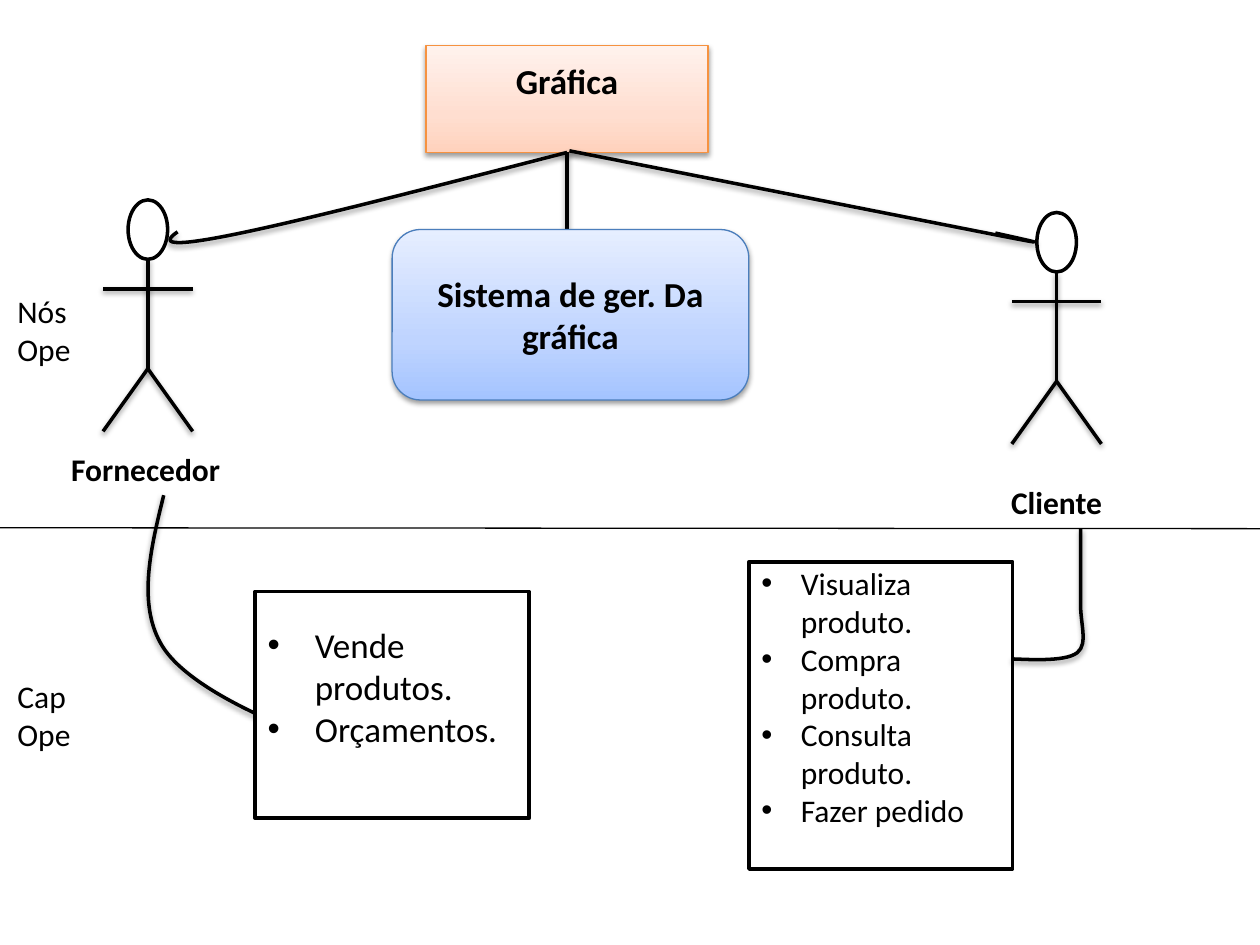
from copy import deepcopy
from dataclasses import dataclass

from lxml.etree import SubElement
from pptx import Presentation
from pptx.dml.color import RGBColor
from pptx.enum.shapes import MSO_CONNECTOR, MSO_SHAPE
from pptx.enum.text import MSO_ANCHOR, PP_ALIGN
from pptx.oxml.ns import qn
from pptx.util import Pt

BLACK = RGBColor(0x00, 0x00, 0x00)
WHITE = RGBColor(0xFF, 0xFF, 0xFF)
ORANGE = RGBColor(0xF6, 0x92, 0x40)
BLUE = RGBColor(0x4B, 0x7E, 0xBC)
PEACH_STOPS = (RGBColor(0xFF, 0xD2, 0xBD), RGBColor(0xFF, 0xDE, 0xD0), RGBColor(0xFF, 0xF2, 0xED))
SKY_STOPS = (RGBColor(0xA4, 0xC4, 0xFF), RGBColor(0xBF, 0xD4, 0xFF), RGBColor(0xE6, 0xEE, 0xFF))
STOP_POSITIONS = (0, 0.35, 1)
FONT = "Calibri"

Point = tuple[float, float]


@dataclass(frozen=True)
class Frame:
    left: float
    top: float
    width: float
    height: float

    def lengths(self) -> tuple:
        return Pt(self.left), Pt(self.top), Pt(self.width), Pt(self.height)


@dataclass(frozen=True)
class Node:
    kind: MSO_SHAPE
    frame: Frame
    text: str
    stops: tuple
    border: RGBColor
    anchor: MSO_ANCHOR
    margin_top: float


@dataclass(frozen=True)
class Actor:
    center: float
    top: float


@dataclass(frozen=True)
class Label:
    frame: Frame
    text: str
    bold: bool


@dataclass(frozen=True)
class CapabilityBox:
    frame: Frame
    items: tuple
    size: float
    indent: float
    margin_top: float


@dataclass(frozen=True)
class Curve:
    frame: Frame
    start: Point
    segments: tuple


@dataclass(frozen=True)
class Line:
    start: Point
    end: Point
    width: float = 2
    shadow: bool = True


ELEMENTS = (
    Actor(84.5, 114.2),
    Node(MSO_SHAPE.RECTANGLE, Frame(243.4, 25.9, 161.3, 61.2), "Gráfica",
         PEACH_STOPS, ORANGE, MSO_ANCHOR.TOP, 8),
    Line((324, 87.1), (324, 131)),
    Node(MSO_SHAPE.ROUNDED_RECTANGLE, Frame(224.1, 131.2, 203.8, 97.4), "Sistema de ger. Da gráfica",
         SKY_STOPS, BLUE, MSO_ANCHOR.MIDDLE, 3.6),
    Curve(Frame(97.2, 87.1, 226.8, 51.1), (324, 87.1),
          (((198, 119.5), (72, 152.6), (101.5, 132.5)),)),
    Actor(603.8, 121.4),
    Curve(Frame(325.4, 86.2, 265.7, 52.6), (325.4, 86.2),
          (((567.4, 133.9),), ((607.7, 141.8), (588.2, 137.5), (568.8, 133.2)))),
    Label(Frame(33.6, 253.8, 99.4, 29), "Fornecedor", True),
    Label(Frame(570.7, 272.4, 67, 29), "Cliente", True),
    Label(Frame(2.9, 163.4, 45.4, 72.7), "Nós\nOpe", False),
    Label(Frame(2.9, 383.4, 45.4, 72.7), "Cap\nOpe", False),
    Curve(Frame(84.2, 283, 173.5, 151.2), (93.6, 283),
          (((85.7, 314.6), (78.5, 346.3), (92.9, 369.4)),
           ((107.3, 392.4), (154.1, 412.6), (180.7, 421.9)),
           ((207.4, 430.6), (277.9, 445), (252.7, 422.6)))),
    CapabilityBox(Frame(145.8, 338, 156.6, 129.6), ("Vende produtos.", "Orçamentos."), 20, 27, 18.2),
    CapabilityBox(Frame(428, 321, 150.6, 175.6),
                  ("Visualiza produto.", "Compra produto.", "Consulta produto.", "Fazer pedido"),
                  18, 22.5, 1.4),
    Curve(Frame(578.2, 302.4, 40.3, 74.9), (617.5, 302.4),
          (((617.5, 316.8), (617.5, 331.9), (617.5, 343.4)),
           ((617, 355.7), (622.1, 367.9), (615.6, 373)),
           ((608.4, 378.7), (584.6, 376.6), (578.2, 376.6)))),
    Line((0, 301.6), (720, 302.1), 0.75, False),
)


def set_line(shape, width: float = 2, color: RGBColor = BLACK, shadow: bool = True) -> None:
    """Format an outline and give the shape a soft shadow or none."""
    shape.line.color.rgb = color
    shape.line.width = Pt(width)
    effects = SubElement(shape._element.spPr, qn("a:effectLst"))
    if shadow:
        outer = SubElement(effects, qn("a:outerShdw"), blurRad=str(Pt(3.1)), dist=str(Pt(1.6)),
                           dir="5400000", rotWithShape="0")
        tint = SubElement(outer, qn("a:srgbClr"), val=str(BLACK))
        SubElement(tint, qn("a:alpha"), val="38000")


def set_gradient(shape, colors: tuple) -> None:
    """Fill a shape with three colours running from bottom to top."""
    shape.fill.gradient()
    shape.fill.gradient_angle = 90
    stop_list = shape._element.spPr.find(qn("a:gradFill")).find(qn("a:gsLst"))
    stop_list.append(deepcopy(stop_list[-1]))
    for stop, position, color in zip(shape.fill.gradient_stops, STOP_POSITIONS, colors):
        stop.position = position
        stop.color.rgb = color


def format_text(text_frame, size: float, bold: bool, alignment: PP_ALIGN) -> None:
    """Apply one font and alignment to every paragraph."""
    for paragraph in text_frame.paragraphs:
        paragraph.alignment = alignment
        for run in paragraph.runs:
            run.font.name = FONT
            run.font.size = Pt(size)
            run.font.bold = bold
            run.font.color.rgb = BLACK


def add_line(slide, line: Line) -> None:
    """Draw a straight black line."""
    connector = slide.shapes.add_connector(
        MSO_CONNECTOR.STRAIGHT, *(Pt(value) for value in line.start + line.end))
    set_line(connector, line.width, shadow=line.shadow)


def add_node(slide, node: Node) -> None:
    """Draw a gradient box with a bold caption."""
    shape = slide.shapes.add_shape(node.kind, *node.frame.lengths())
    set_gradient(shape, node.stops)
    set_line(shape, 0.75, node.border)
    shape.text_frame.text = node.text
    shape.text_frame.vertical_anchor = node.anchor
    shape.text_frame.margin_top = Pt(node.margin_top)
    format_text(shape.text_frame, 20, True, PP_ALIGN.CENTER)


def add_actor(slide, actor: Actor) -> None:
    """Draw a stick figure."""
    center, top = actor.center, actor.top
    head = slide.shapes.add_shape(MSO_SHAPE.OVAL, *Frame(center - 11.3, top, 22.6, 34).lengths())
    head.fill.solid()
    head.fill.fore_color.rgb = WHITE
    set_line(head, shadow=False)
    hip = (center, top + 96.5)
    add_line(slide, Line(hip, (center, top + 34)))
    add_line(slide, Line((center - 25.6, top + 51), (center + 25.6, top + 51)))
    for side in (-1, 1):
        add_line(slide, Line(hip, (center + side * 25.6, top + 132.3)))


def add_curve(slide, curve: Curve) -> None:
    """Draw an open outline of straight and cubic segments."""
    left, top, width, height = curve.frame.lengths()
    builder = slide.shapes.build_freeform(left, top)
    builder.add_line_segments([(left + width, top + height)], close=False)
    shape = builder.convert_to_shape()
    outline = next(shape._element.iter(qn("a:path")))
    for child in list(outline):
        outline.remove(child)
    for points in ((curve.start,), *curve.segments):
        name = "a:cubicBezTo" if len(points) == 3 else "a:lnTo" if len(outline) else "a:moveTo"
        command = SubElement(outline, qn(name))
        for x, y in points:
            SubElement(command, qn("a:pt"), x=str(Pt(x) - left), y=str(Pt(y) - top))
    shape.fill.background()
    set_line(shape)


def add_label(slide, label: Label) -> None:
    """Write an unwrapped label."""
    text_frame = slide.shapes.add_textbox(*label.frame.lengths()).text_frame
    text_frame.text = label.text
    text_frame.word_wrap = False
    format_text(text_frame, 18, label.bold, PP_ALIGN.LEFT)


def add_capability_box(slide, box: CapabilityBox) -> None:
    """Draw a white box with a bulleted list."""
    shape = slide.shapes.add_shape(MSO_SHAPE.RECTANGLE, *box.frame.lengths())
    shape.fill.solid()
    shape.fill.fore_color.rgb = WHITE
    set_line(shape, shadow=False)
    text_frame = shape.text_frame
    text_frame.text = "\n".join(box.items)
    text_frame.vertical_anchor = MSO_ANCHOR.TOP
    text_frame.margin_top = Pt(box.margin_top)
    format_text(text_frame, box.size, False, PP_ALIGN.LEFT)
    for paragraph in text_frame.paragraphs:
        properties = paragraph._p.get_or_add_pPr()
        properties.set("marL", str(Pt(box.indent)))
        properties.set("indent", str(-Pt(box.indent)))
        SubElement(properties, qn("a:buFont"), typeface="Arial")
        SubElement(properties, qn("a:buChar"), char="•")


DRAWERS = {Actor: add_actor, Node: add_node, Line: add_line, Curve: add_curve,
           Label: add_label, CapabilityBox: add_capability_box}
presentation = Presentation()
presentation.slide_width, presentation.slide_height = Pt(720), Pt(540)
slide = presentation.slides.add_slide(presentation.slide_layouts[6])
for element in ELEMENTS:
    DRAWERS[type(element)](slide, element)
presentation.save("out.pptx")
